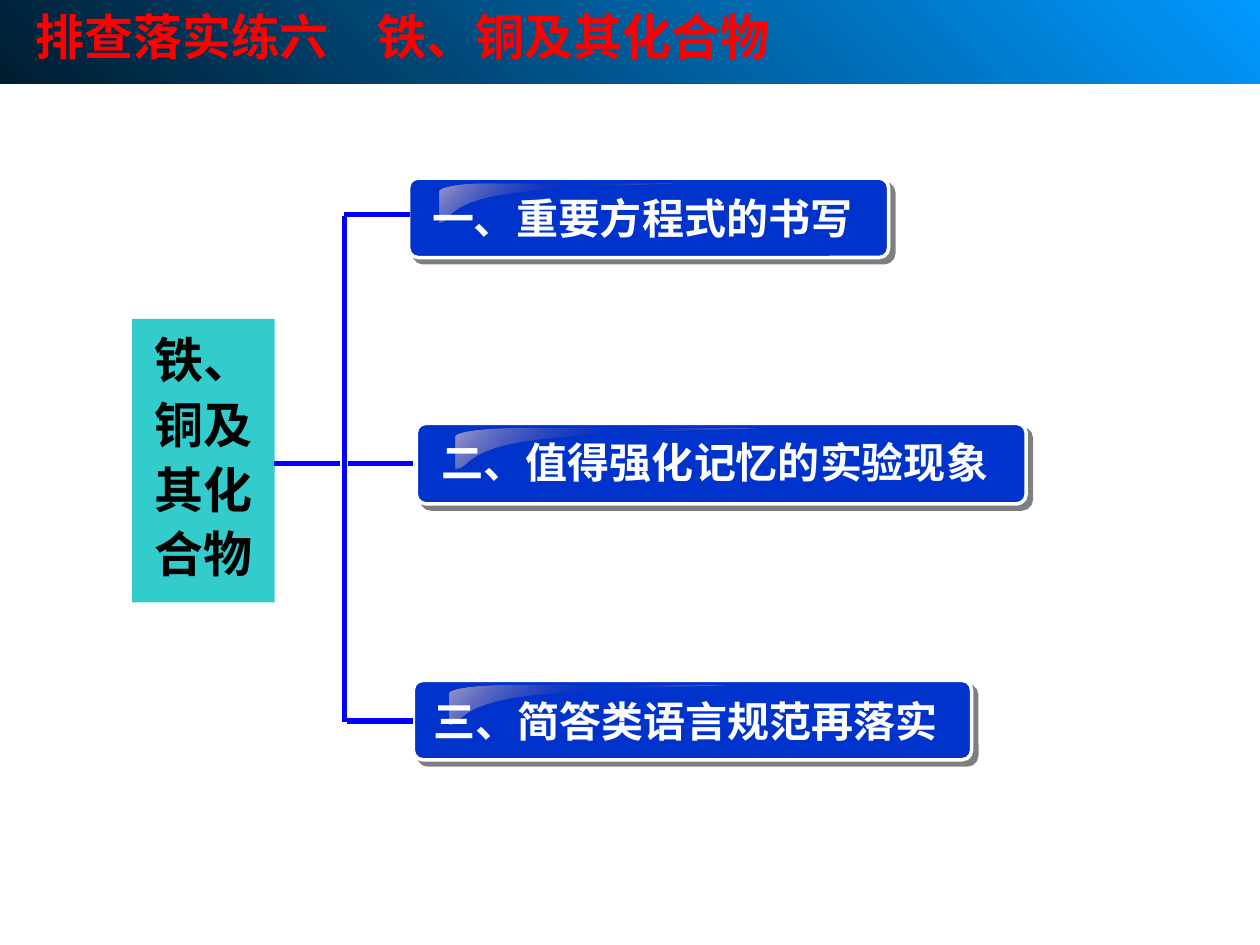
"""Build the overview slide for the iron and copper review exercise."""
from lxml import etree
from pptx import Presentation
from pptx.dml.color import RGBColor
from pptx.enum.shapes import MSO_CONNECTOR as Connector, MSO_SHAPE as Shape
from pptx.enum.text import MSO_ANCHOR as Anchor, MSO_AUTO_SIZE as AutoSize, PP_ALIGN as Align
from pptx.oxml import parse_xml
from pptx.oxml.ns import nsdecls, qn
from pptx.util import Pt

RED = RGBColor(0xFF, 0x00, 0x00)
WHITE = RGBColor(0xFF, 0xFF, 0xFF)
BLACK = RGBColor(0x00, 0x00, 0x00)
TEAL = RGBColor(0x33, 0xCC, 0xCC)
BOX_BLUE = RGBColor(0x00, 0x33, 0xCC)
LINE_BLUE = RGBColor(0x00, 0x00, 0xFF)
SKY = RGBColor(0x00, 0x99, 0xFF)
NAVY = RGBColor(0x00, 0x1D, 0x30)
GLOSS_EDGE = RGBColor(0x9B, 0x9B, 0xCC)
GLOSS_MIDDLE = RGBColor(0x33, 0x33, 0x99)
CJK_FONT = "Noto Sans CJK SC"

SHADOW = (
    f'<a:effectLst {nsdecls("a")}><a:outerShdw dist="53340" dir="2700000" algn="ctr" rotWithShape="0">'
    '<a:srgbClr val="000000"><a:alpha val="50000"/></a:srgbClr></a:outerShdw></a:effectLst>'
)
GLOSS_CURVES = [
    [(0.2, 0), (0.08, 0), (0, 0.1), (0, 0.2)],
    [(0, 0.98), (0.05, 1), (0.02, 0.5), (0.27, 0.28)],
    [(0.27, 0.28), (0.52, 0.06), (1, 0.03), (0.99, 0)],
]


def write(shape, text, size, color, font=CJK_FONT, align=Align.LEFT, spacing=1.0,
          anchor=Anchor.MIDDLE, wrap=True, top=3.6, bottom=3.6):
    frame = shape.text_frame
    frame.auto_size = AutoSize.NONE
    frame.word_wrap = wrap
    frame.vertical_anchor = anchor
    frame.margin_left = frame.margin_right = Pt(7.2)
    frame.margin_top, frame.margin_bottom = Pt(top), Pt(bottom)
    para = frame.paragraphs[0]
    para.alignment = align
    para.line_spacing = spacing
    span = para.add_run()
    span.text = text
    span.font.size = Pt(size)
    span.font.bold = True
    span.font.color.rgb = color
    span.font.name = font
    if font == CJK_FONT:
        etree.SubElement(span.font._element, qn("a:ea")).set("typeface", font)


def fill_gradient(shape, stops, angle):
    shape.fill.gradient()
    gradient = shape._element.spPr.find(qn("a:gradFill"))
    stop_list = gradient.find(qn("a:gsLst"))
    for stop in list(stop_list):
        stop_list.remove(stop)
    for position, color, opacity in stops:
        stop = etree.SubElement(stop_list, qn("a:gs"), pos=str(position * 1000))
        swatch = etree.SubElement(stop, qn("a:srgbClr"), val=str(color))
        etree.SubElement(swatch, qn("a:alpha"), val=str(opacity * 1000))
    gradient.find(qn("a:lin")).set("ang", str(angle * 60000))
    shape.line.fill.background()
    shape.shadow.inherit = False


deck = Presentation()
deck.slide_width, deck.slide_height = Pt(720), Pt(540)
page = deck.slides.add_slide(deck.slide_layouts[5])
shapes = page.shapes

banner = shapes.add_shape(Shape.RECTANGLE, Pt(0), Pt(0), Pt(720), Pt(48))
fill_gradient(banner, [(0, SKY, 100), (100, NAVY, 100)], 135)
title = shapes.title
title.left, title.top, title.width, title.height = Pt(13), Pt(0), Pt(440), Pt(41)
write(title, "排查落实练六　铁、铜及其化合物", 28, RED, wrap=False)
banner._element.addnext(title._element)

topic = shapes.add_shape(Shape.RECTANGLE, Pt(75.5), Pt(182.2), Pt(81.5), Pt(162))
topic.fill.solid()
topic.fill.fore_color.rgb = TEAL
topic.line.fill.background()
topic.shadow.inherit = False
write(topic, "铁、铜及其化合物", 28, BLACK, font="Times New Roman", align=Align.CENTER,
      spacing=1.1, anchor=Anchor.TOP, top=2.9, bottom=11.5)

branches = [
    ("一、重要方程式的书写", 233.5, 101.8, 274.3, 45.4, 239.8, 100.8, 273.6),
    ("二、值得强化记忆的实验现象", 237.9, 241.9, 348.5, 46, 245.5, 239.8, 340.6),
    ("三、简答类语言规范再落实", 236.2, 388.8, 319, 45.4, 240.5, 388.1, 355),
]
for text, left, top, width, height, text_left, text_top, text_width in branches:
    box = shapes.add_shape(Shape.ROUNDED_RECTANGLE, Pt(left), Pt(top), Pt(width), Pt(height))
    box.adjustments[0] = 0.12
    box.fill.solid()
    box.fill.fore_color.rgb = BOX_BLUE
    box.line.color.rgb = WHITE
    box.line.width = Pt(2)
    box._element.spPr.append(parse_xml(SHADOW))

    outline = []
    for start, first, second, end in GLOSS_CURVES:
        for step in range(13):
            t = step / 12
            x, y = (
                (1 - t) ** 3 * a + 3 * (1 - t) ** 2 * t * b + 3 * (1 - t) * t ** 2 * c + t ** 3 * d
                for a, b, c, d in zip(start, first, second, end)
            )
            outline.append((Pt(left + width * (0.064 + x / 2)), Pt(top + 3 + height * y / 2)))
    builder = shapes.build_freeform(*outline[0])
    builder.add_line_segments(outline[1:], close=True)
    gloss = builder.convert_to_shape()
    fill_gradient(gloss, [(0, GLOSS_EDGE, 100), (50, GLOSS_MIDDLE, 0), (100, GLOSS_EDGE, 100)], 225)

    label = shapes.add_textbox(Pt(text_left), Pt(text_top), Pt(text_width), Pt(41.8))
    write(label, text, 24, WHITE, spacing=1.2)

for x1, y1, x2, y2 in [
    (156.5, 265, 194.5, 265),
    (197, 123.5, 197, 412.5),
    (196.8, 122.4, 234.4, 122.4),
    (198.7, 264.8, 236.2, 264.8),
    (198, 412, 236.2, 412),
]:
    link = shapes.add_connector(Connector.STRAIGHT, Pt(x1), Pt(y1), Pt(x2), Pt(y2))
    link.line.color.rgb = LINE_BLUE
    link.line.width = Pt(3)
    etree.SubElement(link._element.spPr, qn("a:effectLst"))

deck.save("out.pptx")
